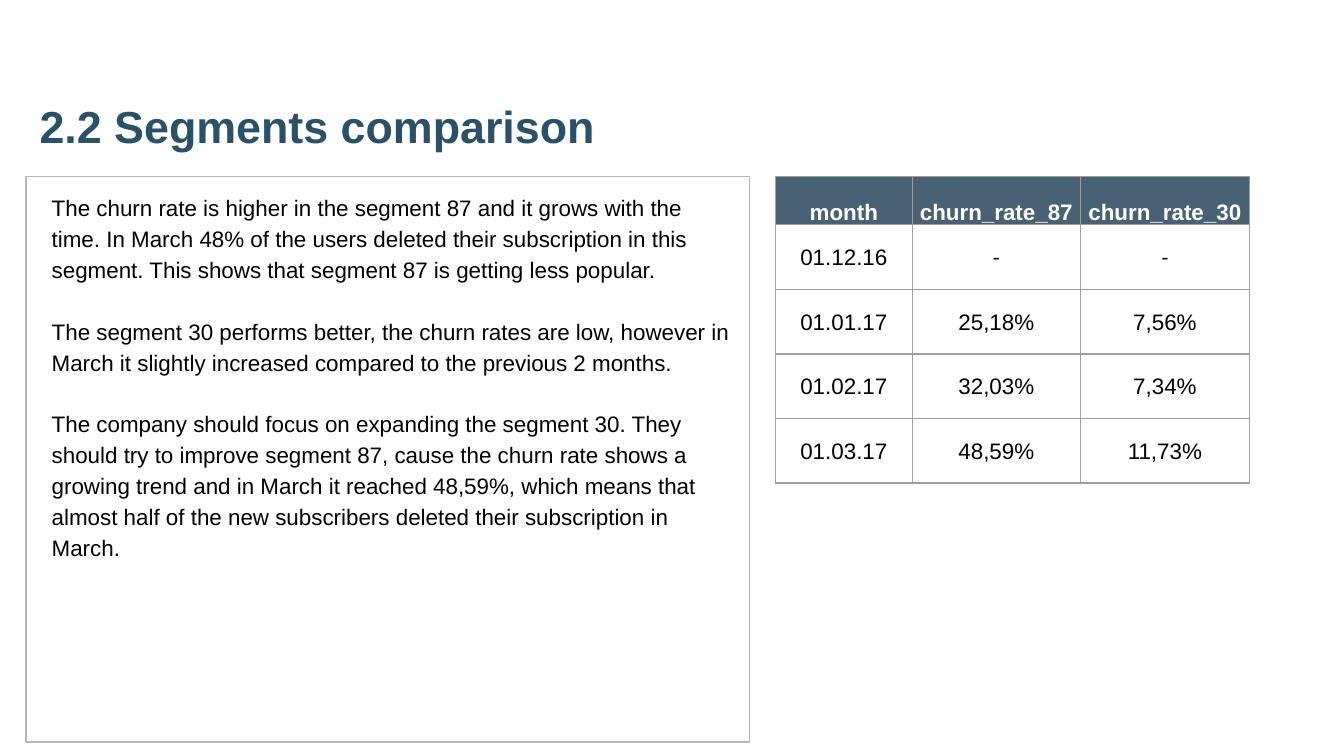
from lxml import etree
from pptx import Presentation
from pptx.dml.color import RGBColor
from pptx.enum.text import MSO_ANCHOR, MSO_AUTO_SIZE, PP_ALIGN
from pptx.oxml.ns import qn
from pptx.util import Pt

LEFT, CENTER = PP_ALIGN.LEFT, PP_ALIGN.CENTER
TOP, MIDDLE, BOTTOM = MSO_ANCHOR.TOP, MSO_ANCHOR.MIDDLE, MSO_ANCHOR.BOTTOM
NO_AUTOFIT = MSO_AUTO_SIZE.NONE

TITLE_BLUE = RGBColor(0x29, 0x52, 0x69)
HEADER_BLUE = RGBColor(0x20, 0x40, 0x56)
BOX_GREY = RGBColor(0xB7, 0xB7, 0xB7)
GRID_GREY = RGBColor(0x9E, 0x9E, 0x9E)
BLACK = RGBColor(0, 0, 0)
WHITE = RGBColor(0xFF, 0xFF, 0xFF)

FINDINGS = [
    "The churn rate is higher in the segment 87 and it grows with the time. "
    "In March 48% of the users deleted their subscription in this segment. "
    "This shows that segment 87 is getting less popular.",
    "The segment 30 performs better, the churn rates are low, however in March "
    "it slightly increased compared to the previous 2 months.",
    "The company should focus on expanding the segment 30. They should try to "
    "improve segment 87, cause the churn rate shows a growing trend and in March "
    "it reached 48,59%, which means that almost half of the new subscribers "
    "deleted their subscription in March.",
]
CHURN = [
    ("month", "churn_rate_87", "churn_rate_30"),
    ("01.12.16", "-", "-"),
    ("01.01.17", "25,18%", "7,56%"),
    ("01.02.17", "32,03%", "7,34%"),
    ("01.03.17", "48,59%", "11,73%"),
]
COL_WIDTHS = (73.4, 90, 90.6)
HEADER_HEIGHT, ROW_HEIGHT = 25.9, 34.6


def style(font, size, color, bold=False, name="Arial"):
    font.name, font.size, font.bold = name, Pt(size), bold
    font.color.rgb = color


def add_borders(cell):
    tcPr = cell._tc.get_or_add_tcPr()
    for side in ("a:lnL", "a:lnR", "a:lnT", "a:lnB"):
        ln = etree.SubElement(tcPr, qn(side), w=str(Pt(0.75)))
        fill = etree.SubElement(ln, qn("a:solidFill"))
        etree.SubElement(fill, qn("a:srgbClr"), val=str(GRID_GREY))


prs = Presentation()
prs.slide_width, prs.slide_height = Pt(720), Pt(405)
s = prs.slides.add_slide(prs.slide_layouts[1])

# Title
title = s.shapes.title
title.left, title.top, title.width, title.height = Pt(14), Pt(23), Pt(681), Pt(66)
tf = title.text_frame
tf.text = "2.2 Segments comparison"
tf.auto_size = NO_AUTOFIT
tf.vertical_anchor = BOTTOM
tf.margin_left = tf.margin_right = tf.margin_top = tf.margin_bottom = Pt(7.2)
p = tf.paragraphs[0]
p.alignment = LEFT
style(p.runs[0].font, 24, TITLE_BLUE, bold=True)

# Findings
body = s.placeholders[1]
body.left, body.top, body.width, body.height = Pt(14), Pt(94.6), Pt(387.5), Pt(303)
body.line.color.rgb = BOX_GREY
body.line.width = Pt(0.75)
tf = body.text_frame
tf.text = "\n".join(FINDINGS)
tf.auto_size = NO_AUTOFIT
tf.vertical_anchor = TOP
tf.margin_left = Pt(13.7)
tf.margin_right = tf.margin_top = tf.margin_bottom = Pt(7.2)
for p in tf.paragraphs:
    pPr = p._p.get_or_add_pPr()
    pPr.set("marL", "0")
    pPr.set("indent", "0")
    etree.SubElement(pPr, qn("a:buNone"))
    p.line_spacing = 1.15
    p.space_before = Pt(0)
    p.space_after = Pt(16.6)
    style(p.runs[0].font, 12, BLACK)
tf.paragraphs[-1].space_after = Pt(0)

# Churn table
height = HEADER_HEIGHT + ROW_HEIGHT * (len(CHURN) - 1)
table = s.shapes.add_table(len(CHURN), len(COL_WIDTHS), Pt(415.4), Pt(94.6),
                           Pt(sum(COL_WIDTHS)), Pt(height)).table
table.horz_banding = False
for column, width in zip(table.columns, COL_WIDTHS):
    column.width = Pt(width)
for i, values in enumerate(CHURN):
    header = i == 0
    table.rows[i].height = Pt(HEADER_HEIGHT if header else ROW_HEIGHT)
    for j, value in enumerate(values):
        cell = table.cell(i, j)
        cell.margin_left = cell.margin_right = cell.margin_top = Pt(0.75)
        cell.margin_bottom = Pt(0)
        cell.vertical_anchor = BOTTOM if header else MIDDLE
        add_borders(cell)
        if header:
            cell.fill.solid()
            cell.fill.fore_color.rgb = HEADER_BLUE
            color = cell._tc.tcPr.find(qn("a:solidFill")).find(qn("a:srgbClr"))
            etree.SubElement(color, qn("a:alpha"), val="82000")
        else:
            cell.fill.background()
        cell.text = value
        p = cell.text_frame.paragraphs[0]
        p.alignment = CENTER
        style(p.runs[0].font, 12, WHITE if header else BLACK, bold=header,
              name="Calibri" if value == "-" else "Arial")

prs.save("out.pptx")
